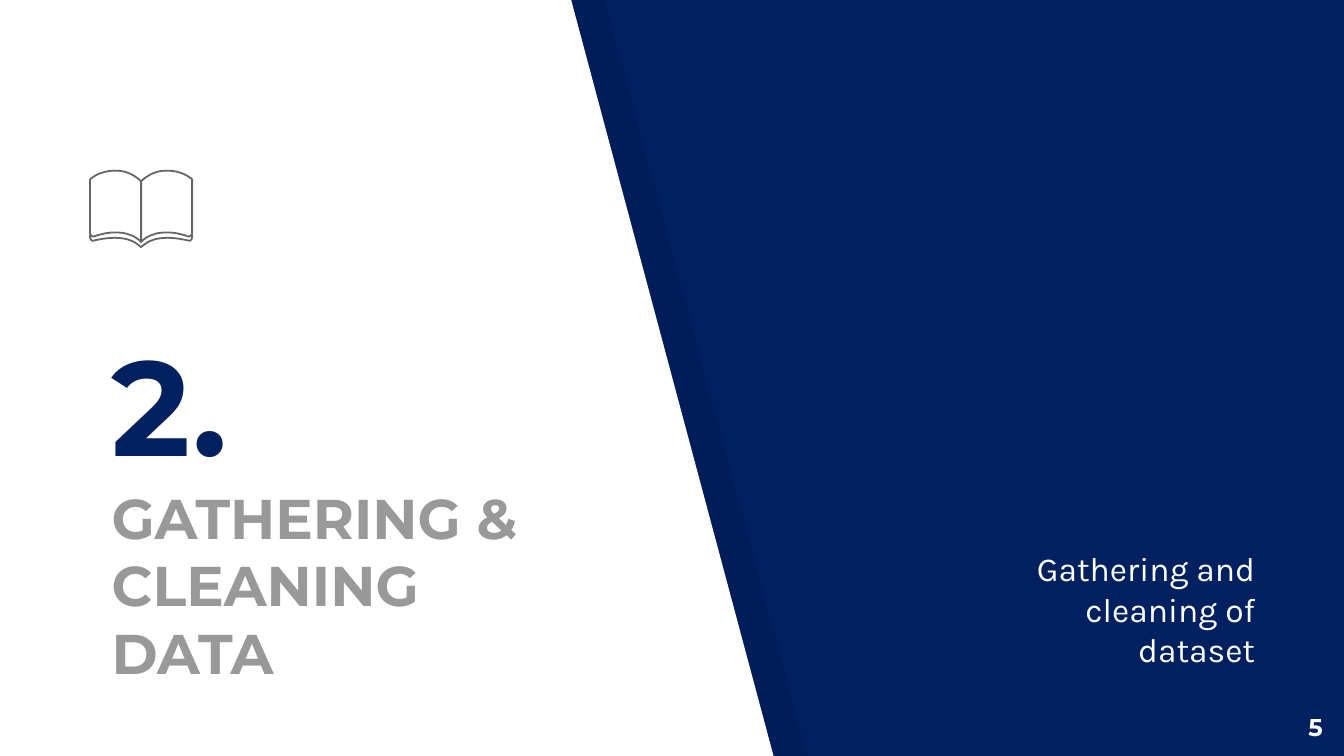
from copy import deepcopy

from lxml import etree
from pptx import Presentation
from pptx.dml.color import RGBColor
from pptx.enum.text import MSO_ANCHOR, MSO_AUTO_SIZE, PP_ALIGN
from pptx.oxml.ns import qn
from pptx.util import Inches, Pt

LEFT, RIGHT = PP_ALIGN.LEFT, PP_ALIGN.RIGHT
TOP, BOTTOM = MSO_ANCHOR.TOP, MSO_ANCHOR.BOTTOM
NO_AUTOFIT = MSO_AUTO_SIZE.NONE
NAVY, WHITE, GRAY, DARK_GRAY = "002060", "FFFFFF", "999999", "666666"
UNITS = 1000  # freeform units per inch


def curve(start, control, end, steps=10):
    """Points along a quadratic curve."""
    return [tuple((1 - t) ** 2 * a + 2 * t * (1 - t) * b + t * t * c
                  for a, b, c in zip(start, control, end))
            for t in (step / steps for step in range(steps + 1))]


def outline(shapes, points, fill=None, line=None, close=True):
    """Freeform through points given in inches."""
    scaled = [(x * UNITS, y * UNITS) for x, y in points]
    builder = shapes.build_freeform(*scaled[0], scale=Inches(1) / UNITS)
    builder.add_line_segments(scaled[1:], close=close)
    shape = builder.convert_to_shape()
    shape.shadow.inherit = False
    if fill:
        shape.fill.solid()
        shape.fill.fore_color.rgb = RGBColor.from_string(fill)
    else:
        shape.fill.background()
    if line:
        shape.line.color.rgb = RGBColor.from_string(line)
        shape.line.width = Pt(0.96)
    else:
        shape.line.fill.background()
    return shape


# Widescreen slide, 16:9
presentation = Presentation()
presentation.slide_width = Inches(10)
presentation.slide_height = Inches(10 * 9 / 16)
slide = presentation.slides.add_slide(presentation.slide_layouts[0])
slide.background.fill.solid()
slide.background.fill.fore_color.rgb = RGBColor.from_string(NAVY)

# Slanted white panel over its translucent shade
panel = [(0, -0.01), (-0.01, 5.64), (5.76, 5.64), (4.25, 0)]
shade = outline(slide.shapes, [(x + 0.25, y) for x, y in panel], fill="000000")
shade_color = shade.fill._xPr.find(qn("a:solidFill"))[0]
etree.SubElement(shade_color, qn("a:alpha"), val="7000")
outline(slide.shapes, panel, fill=WHITE)

# Title, subtitle and slide number
title, subtitle = slide.shapes.title, slide.placeholders[1]
number = slide.shapes.add_textbox(0, 0, 0, 0)
texts = [
    (title, (0.73, 1.93, 3.85, 3.27), BOTTOM, LEFT,
     [("2.", 72, "Montserrat", NAVY, True),
      ("GATHERING &\vCLEANING \vDATA", 30, "Montserrat", GRAY, True)]),
    (subtitle, (7.36, 3.57, 2.08, 1.51), BOTTOM, RIGHT,
     [("Gathering and cleaning of dataset", 18, "Karla", WHITE, False)]),
    (number, (9.34, 5.2, 0.6, 0.43), TOP, RIGHT,
     [("5", 13, "Montserrat", WHITE, True)]),
]
for shape, box, anchor, alignment, lines in texts:
    slide.shapes._spTree.append(shape._element)  # in front of the panel
    shape.left, shape.top, shape.width, shape.height = map(Inches, box)
    frame = shape.text_frame
    frame.word_wrap, frame.auto_size = True, NO_AUTOFIT
    frame.vertical_anchor = anchor
    for side in ("left", "top", "right", "bottom"):
        setattr(frame, f"margin_{side}", Inches(0.1))
    for index, (text, size, font, color, bold) in enumerate(lines):
        paragraph = frame.add_paragraph() if index else frame.paragraphs[0]
        paragraph.text = text
        paragraph.alignment = alignment
        paragraph.space_before = Pt(0)
        for run in paragraph.runs:
            for name, value in {"size": Pt(size), "name": font, "bold": bold}.items():
                setattr(run.font, name, value)
            run.font.color.rgb = RGBColor.from_string(color)
        # Line breaks take the size of the text around them
        for line_break in paragraph._p.findall(qn("a:br")):
            line_break.append(deepcopy(paragraph.runs[0]._r.rPr))

# Open book: the left half and its mirror image about the spine
SPINE = 1.05
page = ([(SPINE, 1.36), (SPINE, 1.8)]
        + curve((SPINE, 1.8), (0.98, 1.73), (0.86, 1.73))
        + curve((0.86, 1.73), (0.78, 1.73), (0.7, 1.76))
        + curve((0.7, 1.76), (0.67, 1.76), (0.67, 1.73))
        + curve((0.67, 1.34), (0.67, 1.33), (0.69, 1.32))
        + curve((0.69, 1.32), (0.76, 1.27), (0.86, 1.27))
        + curve((0.86, 1.27), (0.96, 1.27), (1.04, 1.34))
        + [(SPINE, 1.35)])
cover = (curve((0.67, 1.75), (0.67, 1.8), (0.7, 1.79))
         + curve((0.7, 1.79), (0.78, 1.77), (0.86, 1.77))
         + curve((0.86, 1.77), (0.98, 1.77), (SPINE, 1.84)))
book = slide.shapes.add_group_shape()
for points, closed in ((cover, False), (page, True)):
    mirrored = [(2 * SPINE - x, y) for x, y in points]
    for half in (points, mirrored):
        outline(book.shapes, half, line=DARK_GRAY, close=closed)

presentation.save("out.pptx")
